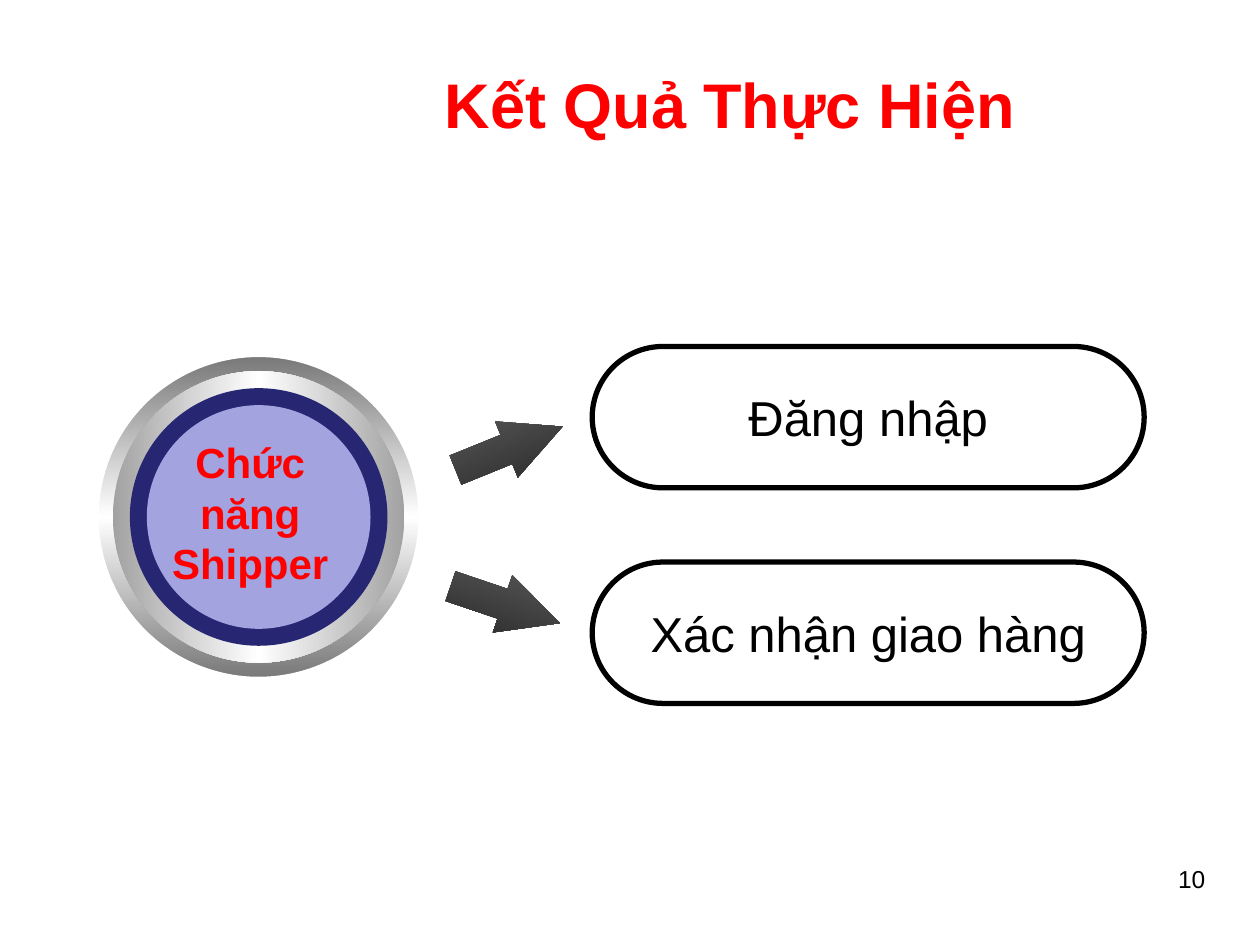
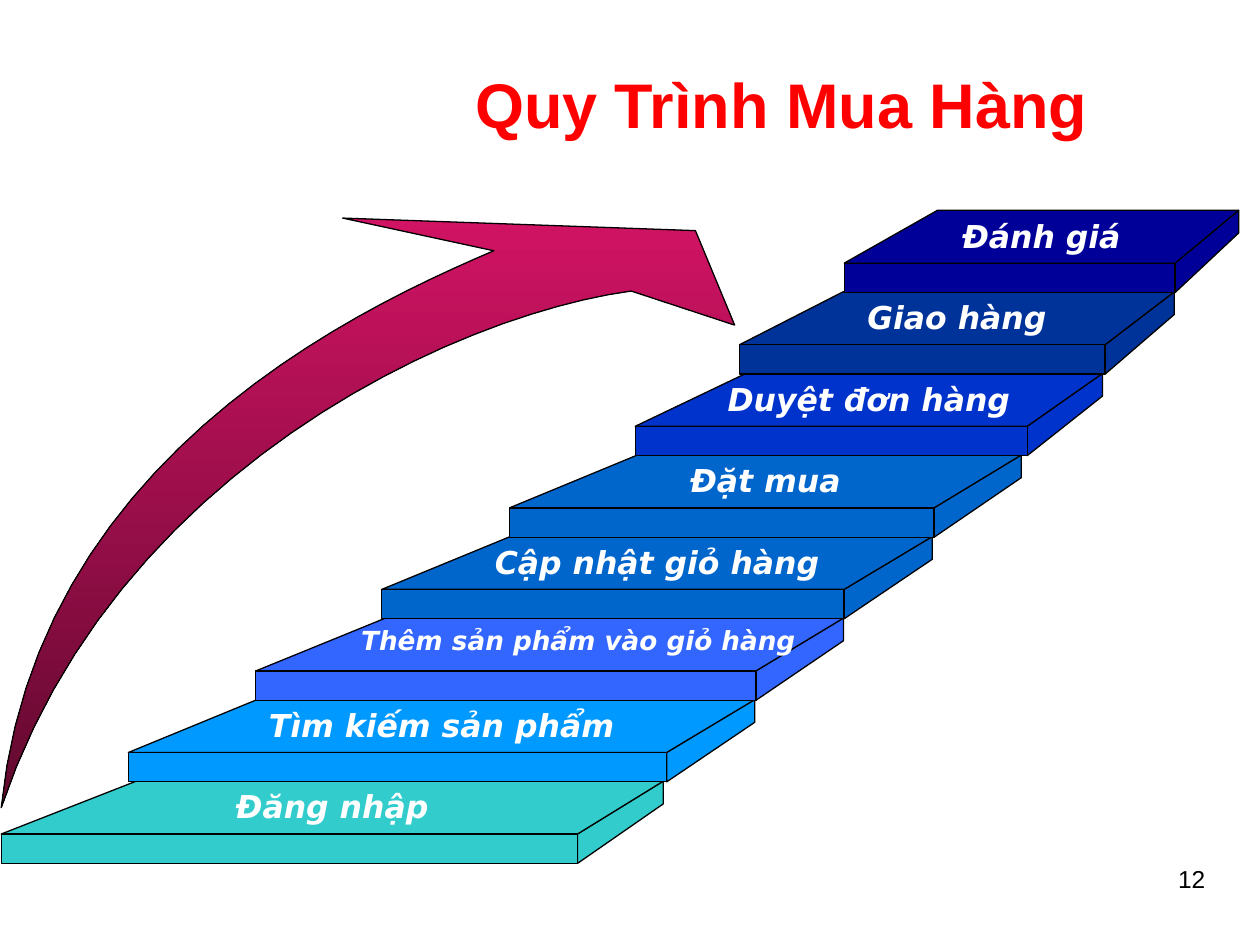
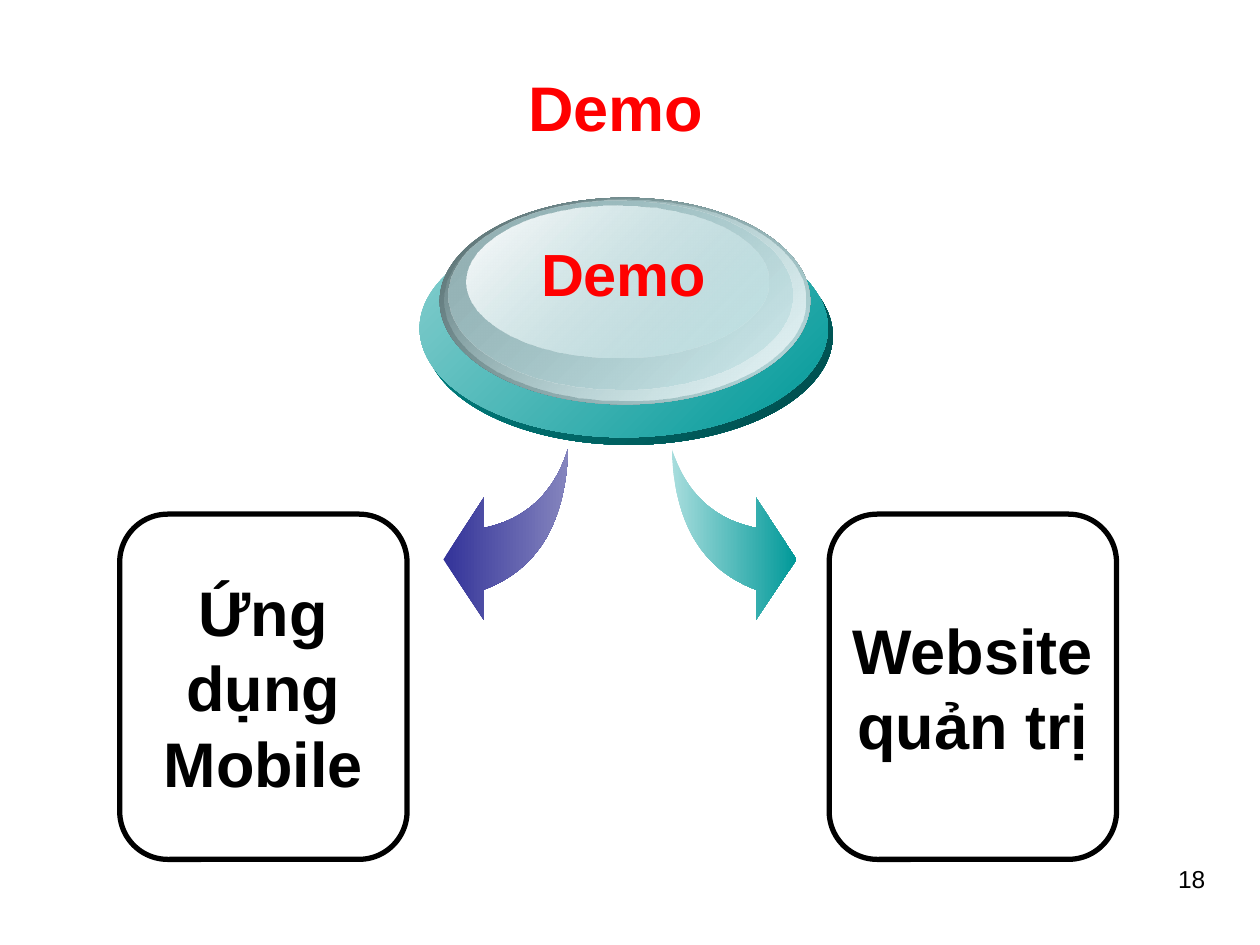
from copy import deepcopy
from dataclasses import dataclass

from pptx import Presentation
from pptx.dml.color import RGBColor
from pptx.enum.shapes import MSO_SHAPE
from pptx.enum.text import MSO_ANCHOR, PP_ALIGN
from pptx.oxml.ns import qn
from pptx.util import Pt


@dataclass(frozen=True)
class Theme:
    font: str = "Arial"
    step_font: str = "DejaVu Sans"
    accent: str = "FF0000"
    black: str = "000000"
    white: str = "FFFFFF"
    navy: str = "262673"
    lilac: str = "A3A3E0"
    steps: tuple = ("33CCCC", "0099FF", "3366FF", "0066CC",
                    "0066CC", "0033CC", "003399", "000099")
    title_size: float = 36
    disc_size: float = 34
    pill_size: float = 28
    hub_size: float = 24
    step_size: float = 18
    small_step_size: float = 15
    number_size: float = 14
    outline: float = 3
    thin: float = 0.75


THEME = Theme()


def write(sp, text, size, color=THEME.black, font=THEME.font, bold=False,
          italic=False, align=PP_ALIGN.CENTER, anchor=MSO_ANCHOR.TOP,
          wrap=True, side_margin=None, left_margin=None):
    tf = sp.text_frame
    tf.word_wrap = wrap
    tf.vertical_anchor = anchor
    if side_margin is not None:
        tf.margin_left = tf.margin_right = Pt(side_margin)
    if left_margin is not None:
        tf.margin_left = Pt(left_margin)
    p = tf.paragraphs[0]
    p.alignment = align
    r = p.add_run()
    r.text = text
    r.font.name, r.font.size = font, Pt(size)
    r.font.bold, r.font.italic = bold, italic
    r.font.color.rgb = RGBColor.from_string(color)


def fill_gradient(sp, stops, angle):
    """Stops are (position %, colour[, opacity %]); the angle runs clockwise."""
    sp.fill.gradient()
    sp.fill.gradient_angle = -angle % 360
    gs_list = sp._element.spPr.find(qn("a:gradFill")).find(qn("a:gsLst"))
    template = deepcopy(gs_list[0])
    for gs in list(gs_list):
        gs_list.remove(gs)
    for position, color, *opacity in stops:
        gs = deepcopy(template)
        gs.set("pos", str(position * 1000))
        for child in list(gs):
            gs.remove(child)
        clr = gs.makeelement(qn("a:srgbClr"), {"val": color})
        gs.append(clr)
        if opacity:
            clr.append(clr.makeelement(qn("a:alpha"), {"val": str(opacity[0] * 1000)}))
        gs_list.append(gs)


def paint(sp, fill=None, line=None, width=THEME.thin, angle=0):
    """Fill with a colour, with gradient stops, or with nothing."""
    sp.shadow.inherit = False
    if fill is None:
        sp.fill.background()
    elif isinstance(fill, str):
        sp.fill.solid()
        sp.fill.fore_color.rgb = RGBColor.from_string(fill)
    else:
        fill_gradient(sp, fill, angle)
    if line is None:
        sp.line.fill.background()
    else:
        sp.line.color.rgb = RGBColor.from_string(line)
        sp.line.width = Pt(width)
    return sp


def add_preset(slide, preset, box, **style):
    return paint(slide.shapes.add_shape(preset, *map(Pt, box)), **style)


def add_outline(slide, points, **style):
    corners = [(Pt(x), Pt(y)) for x, y in points]
    builder = slide.shapes.build_freeform(*corners[0])
    builder.add_line_segments(corners[1:], close=True)
    return paint(builder.convert_to_shape(), **style)


def add_label(slide, text, box, size, **style):
    write(slide.shapes.add_textbox(*map(Pt, box)), text, size, **style)


def curve(p0, p1, p2, p3, pieces=24):
    """Points of a cubic Bezier curve."""
    points = []
    for i in range(pieces + 1):
        t = i / pieces
        u = 1 - t
        weights = (u ** 3, 3 * u * u * t, 3 * u * t * t, t ** 3)
        points.append(tuple(sum(w * p[axis] for w, p in zip(weights, (p0, p1, p2, p3)))
                            for axis in (0, 1)))
    return points


def add_slide(prs, title, number, left, width, top=22.3):
    slide = prs.slides.add_slide(prs.slide_layouts[5])
    sp = slide.shapes.title
    sp.left, sp.top, sp.width, sp.height = map(Pt, (left, top, width, 74))
    write(sp, title, THEME.title_size, color=THEME.accent, bold=True,
          anchor=MSO_ANCHOR.MIDDLE)
    add_label(slide, str(number), (527.8, 490.3, 168, 44), THEME.number_size,
              align=PP_ALIGN.RIGHT)
    return slide


def add_hub(slide, text):
    rim = [(0, "767676"), (50, THEME.white), (100, "767676")]
    bevel = [(0, "A2A2A2"), (50, THEME.white), (100, "A2A2A2")]
    rings = [(187.2, rim, 90, THEME.white), (166.5, bevel, 0, None),
             (147.2, THEME.navy, 0, None), (127.8, THEME.lilac, 0, None)]
    cx, cy = 147.8, 295.4
    for size, fill, angle, line in rings:
        add_preset(slide, MSO_SHAPE.OVAL, (cx - size / 2, cy - size / 2, size, size),
                   fill=fill, angle=angle, line=line, width=4.5)
    add_label(slide, text, (74, 246.2, 138, 94), THEME.hub_size,
              color=THEME.accent, bold=True)


def add_pointer(slide, left, top, rotation):
    sp = add_preset(slide, MSO_SHAPE.UP_ARROW, (left, top, 34.6, 66),
                    fill=[(0, "606060"), (100, "222222")])
    sp.adjustments[0], sp.adjustments[1] = 0.517, 1
    sp.rotation = rotation


def add_round_box(slide, text, box, corner, size, fill=None, **style):
    sp = add_preset(slide, MSO_SHAPE.ROUNDED_RECTANGLE, box, fill=fill,
                    line=THEME.black, width=THEME.outline)
    sp.adjustments[0] = corner
    write(sp, text, size, anchor=MSO_ANCHOR.MIDDLE, **style)


def add_step(slide, text, color, top, front, back, size=THEME.step_size, indent=None):
    """A slab: front and back are the (left, right) ends of its two edges."""
    depth, thickness, back_thickness = 30.2, 16.8, 13
    fold = top + depth
    side = [(back[1], top), (back[1], top + back_thickness),
            (front[1], fold + thickness), (front[1], fold)]
    tread = [(front[1], fold), (front[0], fold), (back[0], top), (back[1], top)]
    add_outline(slide, side, fill=color, line=THEME.black, width=0)
    sp = add_outline(slide, tread, fill=color, line=THEME.black, width=0)
    write(sp, text, size, color=THEME.white, font=THEME.step_font, bold=True,
          italic=True, left_margin=indent)
    add_preset(slide, MSO_SHAPE.RECTANGLE,
               (front[0], fold, front[1] - front[0], thickness),
               fill=color, line=THEME.black)


def add_rising_arrow(slide):
    tail, neck = (0.7, 461.5), (360.7, 166.3)
    points = curve(tail, (20.2, 266.4), (195.8, 180), (282.2, 143.3))
    points += [(195.8, 124.6), (397.4, 131.8), (419.8, 185.8)]
    points += curve(neck, (259.2, 180), (64.8, 270), tail)
    add_outline(slide, points, fill=[(0, "D11364"), (100, "61092E")], angle=90,
                line=THEME.black, width=0)


def add_branch_arrow(slide, fill, mirrored=False):
    tail = (324.7, 256.3)
    points = curve(tail, (323.3, 298.8), (307.4, 325.4), (276.5, 337))
    points += [(276.5, 354.2), (253.4, 319.7), (276.5, 284.4)]
    points += curve((276.5, 301.7), (301, 296.6), (316.8, 281.5), tail)
    if mirrored:
        points = [(708.5 - x, y) for x, y in points]
    add_outline(slide, points, fill=fill)


def add_disc(slide, text):
    layers = [
        ((242.6, 129.6, 233.3, 124.6), (0, "008C8C"), (100, "004A4A")),
        ((239.8, 125.3, 233.3, 124.6), (0, "8AD0D0"), (100, "009999")),
        ((251.3, 113, 211.7, 118.1), (0, "566C6E"), (100, "BBE0E3")),
        ((254.2, 113.8, 205.9, 115.2), (0, "BBE0E3", 0), (100, "EAF5F6")),
        ((256.3, 114.5, 196.6, 108), (0, "93B0B3"), (100, "BBE0E3", 48)),
        ((266.4, 117.4, 172.8, 87.1), (0, THEME.white), (100, "BBE0E3", 38)),
    ]
    for box, *stops in layers:
        add_preset(slide, MSO_SHAPE.OVAL, box, fill=stops, angle=45)
    add_label(slide, text, (260.6, 131.8, 191.5, 48), THEME.disc_size,
              color=THEME.accent, bold=True)


def build_results(prs):
    slide = add_slide(prs, "Kết Quả Thực Hiện", 10, 138.2, 558)
    add_hub(slide, "Chức năng Shipper")
    add_pointer(slide, 273.6, 223.2, 67.9)
    add_pointer(slide, 271.4, 312.5, 108.7)
    for i, text in enumerate(("Đăng nhập", "Xác nhận giao hàng")):
        add_round_box(slide, text, (338.4, 198 + i * 123.2, 315.4, 80.8), 0.5,
                      THEME.pill_size, fill=THEME.white, wrap=False)


def build_process(prs):
    slide = add_slide(prs, "Quy Trình Mua Hàng", 12, 173, 547)
    add_rising_arrow(slide)
    steps = [
        ("Đăng nhập", (0.7, 330), (77.8, 379)),
        ("Tìm kiếm sản phẩm", (73.4, 381), (146.9, 431.3)),
        ("Thêm sản phẩm vào giỏ hàng", (146.2, 432), (220.3, 482)),
        ("Cập nhật giỏ hàng", (218.2, 482.4), (291.6, 532.8)),
        ("Đặt mua", (291.2, 533.8), (364.3, 583.6)),
        ("Duyệt đơn hàng", (363, 587), (426.2, 630)),
        ("Giao hàng", (422.6, 631.5), (481.7, 671)),
        ("Đánh giá", (482.4, 671.5), (535.7, 707.8)),
    ]
    for i, (text, front, back) in enumerate(steps):
        is_long = len(text) > 20
        add_step(slide, text, THEME.steps[i], 446.4 - i * 46.6, front, back,
                 size=THEME.small_step_size if is_long else THEME.step_size,
                 indent=40 if is_long else None)


def build_demo(prs):
    slide = add_slide(prs, "Demo", 18, 139, 425.5, top=23.8)
    for left, text in ((68.4, "Ứng dụng Mobile"), (473.8, "Website quản trị")):
        add_round_box(slide, text, (left, 293.8, 164.2, 197.3), 0.167,
                      THEME.title_size, bold=True, side_margin=0)
    add_branch_arrow(slide, [(0, "333399"), (100, "8585BE")])
    add_branch_arrow(slide, [(0, "A8DDDD"), (100, "009999")], mirrored=True)
    add_disc(slide, "Demo")


def main():
    prs = Presentation()
    prs.slide_width, prs.slide_height = Pt(720), Pt(540)
    build_results(prs)
    build_process(prs)
    build_demo(prs)
    prs.save("out.pptx")


if __name__ == "__main__":
    main()
